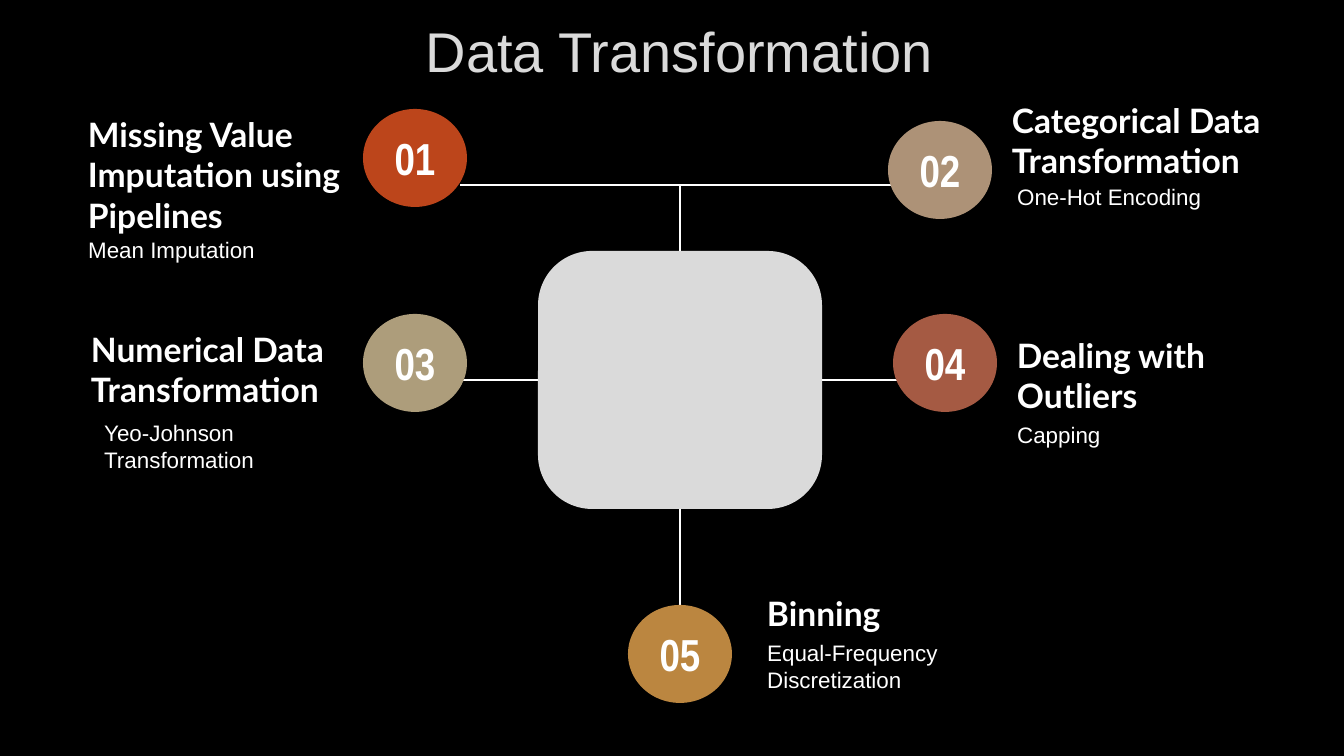
from lxml.etree import SubElement
from pptx import Presentation
from pptx.dml.color import RGBColor
from pptx.enum.shapes import MSO_CONNECTOR as Connector, MSO_SHAPE as Shape
from pptx.enum.text import MSO_ANCHOR as Anchor, MSO_AUTO_SIZE as AutoSize, PP_ALIGN as Align
from pptx.oxml.ns import qn
from pptx.util import Emu, Pt

COLORS = {
    "background": "000000", "text": "FFFFFF", "panel": "DADADA",
    "01": "BC451B", "02": "AD9277", "03": "AD9D7B", "04": "A55A43", "05": "BB8640",
}
PANEL = (538, 251, 284, 258)
BADGE_SIZE = (104, 98)
INSET = 13

# number, badge (left, top), heading, its box, note, its box
STEPS = [
    ("01", (363, 109), "Missing Value Imputation using Pipelines", (75, 97, 300, 155),
     "Mean Imputation", (75, 230, 267, 40)),
    ("02", (888, 121), "Categorical Data Transformation", (999, 89, 292, 102),
     "One-Hot Encoding", (1004, 177, 278, 40)),
    ("03", (363, 314), "Numerical Data Transformation", (78, 309, 300, 120),
     "Yeo-Johnson Transformation", (91, 413, 258, 67)),
    ("04", (893, 314), "Dealing with Outliers", (1004, 351, 292, 48),
     "Capping", (1004, 415, 267, 40)),
    ("05", (628, 605), "Binning", (754, 589, 292, 48),
     "Equal-Frequency Discretization", (754, 633, 278, 67)),
]
# start point, side of the panel, whether the line bends
LINKS = [
    ((460, 185), 0, True),
    ((906, 185), 0, True),
    ((680, 605), 2, False),
    ((460, 380), 1, False),
    ((906, 380), 3, False),
]


def px(length):
    """Turn whole px into EMU."""
    return Emu(round(length * 914400 / 134.4))


def color(name):
    """Look up a colour by its role."""
    return RGBColor.from_string(COLORS[name])


def style_text(shape, text, font, size, ink="text", bold=False, align=Align.LEFT):
    """Write one paragraph into a shape and format it."""
    frame = shape.text_frame
    frame.text = text
    frame.word_wrap = True
    para = frame.paragraphs[0]
    para.alignment = align
    for span in para.runs:
        span.font.name = font
        span.font.size = Pt(size)
        span.font.bold = bold
        span.font.color.rgb = color(ink)
    return frame


def center_vertically(frame):
    """Anchor text in the middle with equal insets."""
    frame.auto_size = AutoSize.NONE
    frame.vertical_anchor = Anchor.MIDDLE
    frame.margin_left = frame.margin_right = px(INSET)
    frame.margin_top = frame.margin_bottom = px(INSET)


def add_title(page, text):
    """Fill and place the title placeholder."""
    title = page.shapes.title
    title.left, title.top, title.width, title.height = map(px, (109, -4, 1141, 108))
    center_vertically(style_text(title, text, "Arial", 30, "panel", align=Align.CENTER))


def add_filled(page, kind, bounds, fill):
    """Add a flat shape without an outline."""
    shape = page.shapes.add_shape(kind, *map(px, bounds))
    shape.shadow.inherit = False
    shape.fill.solid()
    shape.fill.fore_color.rgb = color(fill)
    shape.line.fill.background()
    return shape


def add_link(page, panel, start, side, bent):
    """Run a line from a badge to one side of the panel."""
    kind = Connector.ELBOW if bent else Connector.STRAIGHT
    link = page.shapes.add_connector(kind, *map(px, start + start))
    link.end_connect(panel, side)
    link.line.color.rgb = color("text")
    link.line.width = Pt(0.75)
    properties = link.element.spPr
    if bent:
        properties.find(qn("a:prstGeom")).set("prst", "bentConnector2")
    SubElement(properties, qn("a:effectLst"))


def add_badge(page, number, corner):
    """Add a numbered circle."""
    badge = add_filled(page, Shape.OVAL, corner + BADGE_SIZE, number)
    center_vertically(style_text(badge, number, "Arial Narrow", 24, bold=True, align=Align.CENTER))


def add_heading(page, text, bounds):
    """Add the bold heading of a step."""
    box = page.shapes.add_textbox(*map(px, bounds))
    center_vertically(style_text(box, text, "Lato", 18, bold=True))


def add_note(page, text, bounds):
    """Add the small line under a heading."""
    box = page.shapes.add_textbox(*map(px, bounds))
    style_text(box, text, "Arial", 12).auto_size = AutoSize.SHAPE_TO_FIT_TEXT


def main():
    """Build and save the slide."""
    deck = Presentation()
    deck.slide_width, deck.slide_height = px(1344), px(756)
    page = deck.slides.add_slide(deck.slide_layouts[5])
    page.background.fill.solid()
    page.background.fill.fore_color.rgb = color("background")

    panel = add_filled(page, Shape.ROUNDED_RECTANGLE, PANEL, "panel")
    panel.adjustments[0] = 0.21
    add_title(page, "Data Transformation")
    for start, side, bent in LINKS:
        add_link(page, panel, start, side, bent)
    for number, corner, heading, heading_box, note, note_box in STEPS:
        add_badge(page, number, corner)
        add_heading(page, heading, heading_box)
        add_note(page, note, note_box)
    deck.save("out.pptx")


if __name__ == "__main__":
    main()
